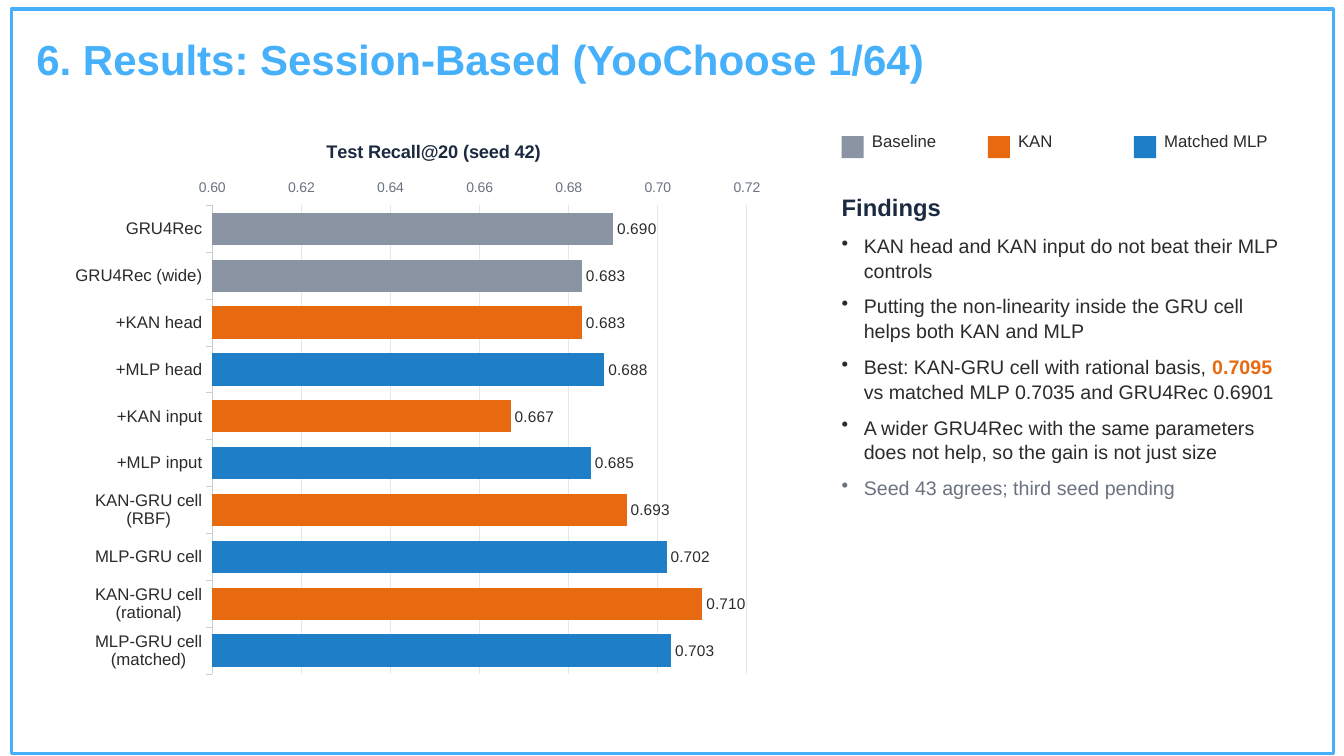
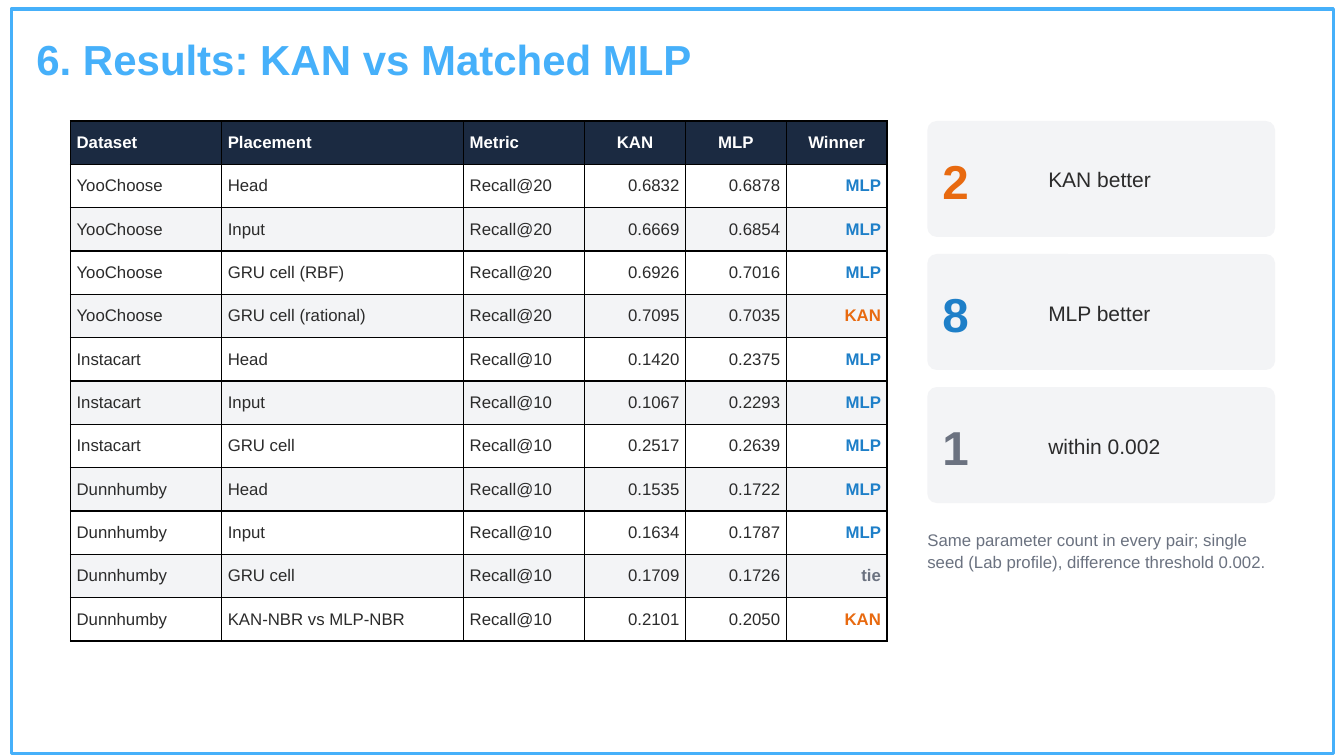
from lxml import etree
from pptx import Presentation
from pptx.chart.data import CategoryChartData
from pptx.dml.color import RGBColor
from pptx.enum.chart import XL_CHART_TYPE, XL_LABEL_POSITION, XL_TICK_MARK
from pptx.enum.shapes import MSO_SHAPE
from pptx.enum.text import MSO_ANCHOR, PP_ALIGN
from pptx.oxml.ns import qn
from pptx.util import Pt

RECT, ROUND = MSO_SHAPE.RECTANGLE, MSO_SHAPE.ROUNDED_RECTANGLE
TOP, MIDDLE = MSO_ANCHOR.TOP, MSO_ANCHOR.MIDDLE
LEFT, CENTER, RIGHT = PP_ALIGN.LEFT, PP_ALIGN.CENTER, PP_ALIGN.RIGHT
BAR, OUTSIDE = XL_CHART_TYPE.BAR_CLUSTERED, XL_LABEL_POSITION.OUTSIDE_END
TICK = XL_TICK_MARK.OUTSIDE

FONT = "Arial"
LEADING = 1.05
COLORS = {
    "sky": "46B0FA", "navy": "1B2A41", "ink": "2B2B2B", "muted": "6B7280",
    "base": "8A94A3", "kan": "E86A10", "mlp": "1E7FC8",
    "white": "FFFFFF", "pale": "F3F4F6", "grid": "E5E7EB", "axis": "C9CED6",
    "black": "000000",
}

BARS = [
    ("GRU4Rec", 0.690, "base"),
    ("GRU4Rec (wide)", 0.683, "base"),
    ("+KAN head", 0.683, "kan"),
    ("+MLP head", 0.688, "mlp"),
    ("+KAN input", 0.667, "kan"),
    ("+MLP input", 0.685, "mlp"),
    ("KAN-GRU cell (RBF)", 0.693, "kan"),
    ("MLP-GRU cell", 0.702, "mlp"),
    ("KAN-GRU cell (rational)", 0.710, "kan"),
    ("MLP-GRU cell (matched)", 0.703, "mlp"),
]
KEYS = [("Baseline", "base"), ("KAN", "kan"), ("Matched MLP", "mlp")]
FINDINGS = [
    [("KAN head and KAN input do not beat their MLP controls", "ink", False)],
    [("Putting the non-linearity inside the GRU cell helps both KAN and MLP",
      "ink", False)],
    [("Best: KAN-GRU cell with rational basis, ", "ink", False),
     ("0.7095", "kan", True),
     (" vs matched MLP 0.7035 and GRU4Rec 0.6901", "ink", False)],
    [("A wider GRU4Rec with the same parameters does not help, "
      "so the gain is not just size", "ink", False)],
    [("Seed 43 agrees; third seed pending", "muted", False)],
]
HEADS = ["Dataset", "Placement", "Metric", "KAN", "MLP", "Winner"]
WIDTHS = [108, 172.8, 86.4, 72, 72, 72]
ROWS = [
    ("YooChoose", "Head", "Recall@20", "0.6832", "0.6878", "MLP"),
    ("YooChoose", "Input", "Recall@20", "0.6669", "0.6854", "MLP"),
    ("YooChoose", "GRU cell (RBF)", "Recall@20", "0.6926", "0.7016", "MLP"),
    ("YooChoose", "GRU cell (rational)", "Recall@20", "0.7095", "0.7035", "KAN"),
    ("Instacart", "Head", "Recall@10", "0.1420", "0.2375", "MLP"),
    ("Instacart", "Input", "Recall@10", "0.1067", "0.2293", "MLP"),
    ("Instacart", "GRU cell", "Recall@10", "0.2517", "0.2639", "MLP"),
    ("Dunnhumby", "Head", "Recall@10", "0.1535", "0.1722", "MLP"),
    ("Dunnhumby", "Input", "Recall@10", "0.1634", "0.1787", "MLP"),
    ("Dunnhumby", "GRU cell", "Recall@10", "0.1709", "0.1726", "tie"),
    ("Dunnhumby", "KAN-NBR vs MLP-NBR", "Recall@10", "0.2101", "0.2050", "KAN"),
]
WINNERS = {"KAN": "kan", "MLP": "mlp", "tie": "muted"}
SCORES = [("2", "KAN better", "kan"), ("8", "MLP better", "mlp"),
          ("1", "within 0.002", "muted")]
NOTE = ("Same parameter count in every pair; single seed (Lab profile), "
        "difference threshold 0.002.")


def rgb(name):
    return RGBColor.from_string(COLORS[name])


def style(font, size, color, bold=False):
    font.name, font.size, font.bold = FONT, Pt(size), bold
    font.color.rgb = rgb(color)


def add_run(para, text, size, color, bold=False):
    run = para.add_run()
    run.text = text
    style(run.font, size, color, bold)


def space(para, after):
    para.line_spacing = LEADING
    para.space_after = Pt(after)


def add_box(slide, left, top, width, height, anchor=TOP):
    """Add a text box without margins and return its text frame."""
    box = slide.shapes.add_textbox(Pt(left), Pt(top), Pt(width), Pt(height))
    frame = box.text_frame
    frame.word_wrap = True
    frame.vertical_anchor = anchor
    frame.margin_left = frame.margin_right = 0
    frame.margin_top = frame.margin_bottom = 0
    return frame


def add_label(slide, left, top, width, height, text, size, color,
              bold=False, anchor=TOP):
    para = add_box(slide, left, top, width, height, anchor).paragraphs[0]
    space(para, 6)
    add_run(para, text, size, color, bold)


def add_block(slide, kind, left, top, width, height, fill=None):
    block = slide.shapes.add_shape(kind, Pt(left), Pt(top), Pt(width), Pt(height))
    block.shadow.inherit = False
    if fill:
        block.fill.solid()
        block.fill.fore_color.rgb = rgb(fill)
        block.line.fill.background()
    else:
        block.fill.background()
    return block


def add_page(deck, title):
    """Add a blank slide with the shared frame and title."""
    slide = deck.slides.add_slide(deck.slide_layouts[6])
    frame = add_block(slide, RECT, 8, 6.5, 944.5, 532)
    frame.line.color.rgb = rgb("sky")
    frame.line.width = Pt(2.25)
    add_label(slide, 26, 18.7, 749, 44.6, title, 30, "sky", True, MIDDLE)
    return slide


def add_bars(slide, left, top, width, height):
    data = CategoryChartData(number_format="0.000")
    data.categories = [name for name, _, _ in BARS]
    data.add_series("Recall@20", [value for _, value, _ in BARS])
    chart = slide.shapes.add_chart(
        BAR, Pt(left), Pt(top), Pt(width), Pt(height), data).chart
    style(chart.font, 12, "ink")
    chart.has_legend = False
    chart.has_title = True
    para = chart.chart_title.text_frame.paragraphs[0]
    add_run(para, "Test Recall@20 (seed 42)", 13, "navy", True)
    chart.chart_title.include_in_layout = False

    names = chart.category_axis
    names.reverse_order = True
    names.major_tick_mark = TICK
    names.format.line.color.rgb = rgb("axis")
    names.format.line.width = Pt(0.75)
    style(names.tick_labels.font, 12, "ink")

    scale = chart.value_axis
    scale.minimum_scale, scale.maximum_scale, scale.major_unit = 0.6, 0.73, 0.02
    scale.major_tick_mark = TICK
    scale.format.line.fill.background()
    scale.major_gridlines.format.line.color.rgb = rgb("grid")
    scale.major_gridlines.format.line.width = Pt(0.75)
    scale.tick_labels.number_format = "0.00"
    scale.tick_labels.number_format_is_linked = False
    style(scale.tick_labels.font, 10, "muted")

    plot = chart.plots[0]
    plot.gap_width = 45
    plot.vary_by_categories = False
    plot.has_data_labels = True
    labels = plot.data_labels
    labels.show_value = True
    labels.position = OUTSIDE
    labels.number_format = "0.000"
    labels.number_format_is_linked = False
    style(labels.font, 11, "ink")
    for i, (_, _, color) in enumerate(BARS):
        fill = plot.series[0].points[i].format.fill
        fill.solid()
        fill.fore_color.rgb = rgb(color)


def add_keys(slide, left, top):
    for i, (name, color) in enumerate(KEYS):
        x = left + i * 104.4
        add_block(slide, RECT, x, top + 4.3, 15.8, 15.8, color)
        add_label(slide, x + 21.6, top, 86.4, 25.2, name, 12, "ink")


def add_bullet(para, indent):
    props = para._p.get_or_add_pPr()
    props.set("marL", str(Pt(indent)))
    props.set("indent", str(-Pt(indent)))
    etree.SubElement(props, qn("a:buChar")).set("char", "•")


def add_findings(slide, left, top, width, height):
    frame = add_box(slide, left, top, width, height)
    head = frame.paragraphs[0]
    space(head, 8)
    add_run(head, "Findings", 17, "navy", True)
    for parts in FINDINGS:
        para = frame.add_paragraph()
        add_bullet(para, 15.8)
        space(para, 8)
        for text, color, bold in parts:
            add_run(para, text, 14, color, bold)


def add_borders(props):
    for i, side in enumerate(("lnL", "lnR", "lnT", "lnB")):
        line = etree.Element(qn("a:" + side), w=str(Pt(1)))
        fill = etree.SubElement(line, qn("a:solidFill"))
        etree.SubElement(fill, qn("a:srgbClr"), val=COLORS["black"])
        props.insert(i, line)


def fill_cell(cell, text, fill, color, bold, align):
    cell.fill.solid()
    cell.fill.fore_color.rgb = rgb(fill)
    cell.vertical_anchor = MIDDLE
    cell.margin_left = cell.margin_right = Pt(4.32)
    cell.margin_top = cell.margin_bottom = Pt(1.44)
    para = cell.text_frame.paragraphs[0]
    para.alignment = align
    add_run(para, text, 12, color, bold)


def add_results(slide, left, top, height):
    count = len(ROWS) + 1
    frame = slide.shapes.add_table(
        count, len(HEADS), Pt(left), Pt(top), Pt(sum(WIDTHS)), Pt(height))
    table = frame.table
    for column, width in zip(table.columns, WIDTHS):
        column.width = Pt(width)
    for row in table.rows:
        row.height = Pt(height / count)
    for c, head in enumerate(HEADS):
        align = LEFT if c < 3 else CENTER
        fill_cell(table.cell(0, c), head, "navy", "white", True, align)
    for r, row in enumerate(ROWS, 1):
        fill = "white" if r % 2 else "pale"
        for c, text in enumerate(row):
            last = c == len(HEADS) - 1
            color = WINNERS[text] if last else "ink"
            align = LEFT if c < 3 else RIGHT
            fill_cell(table.cell(r, c), text, fill, color, last, align)
    for props in frame.element.iter(qn("a:tcPr")):
        add_borders(props)


def add_card(slide, left, top, width, height, score):
    number, text, color = score
    card = add_block(slide, ROUND, left, top, width, height, "pale")
    card.adjustments[0] = 0.08
    add_label(slide, left + 10.8, top, 72, height, number, 34, color, True, MIDDLE)
    add_label(slide, left + 86.4, top, width - 90, height, text, 15, "ink",
              anchor=MIDDLE)


def add_scores(slide, left, top, width):
    for i, score in enumerate(SCORES):
        add_card(slide, left, top + i * 95.04, width, 82.8, score)
    add_label(slide, left, top + 291.6, width, 108, NOTE, 12, "muted")


def main():
    deck = Presentation()
    deck.slide_width, deck.slide_height = Pt(960), Pt(540)

    session = add_page(deck, "6. Results: Session-Based (YooChoose 1/64)")
    add_bars(session, 43.2, 86.4, 532.8, 403.2)
    add_keys(session, 601.2, 92.9)
    add_findings(session, 601.2, 136.8, 313.2, 352.8)

    versus = add_page(deck, "6. Results: KAN vs Matched MLP")
    add_results(versus, 50.4, 86.4, 371.52)
    add_scores(versus, 662.4, 86.4, 248.4)

    deck.save("out.pptx")


if __name__ == "__main__":
    main()
